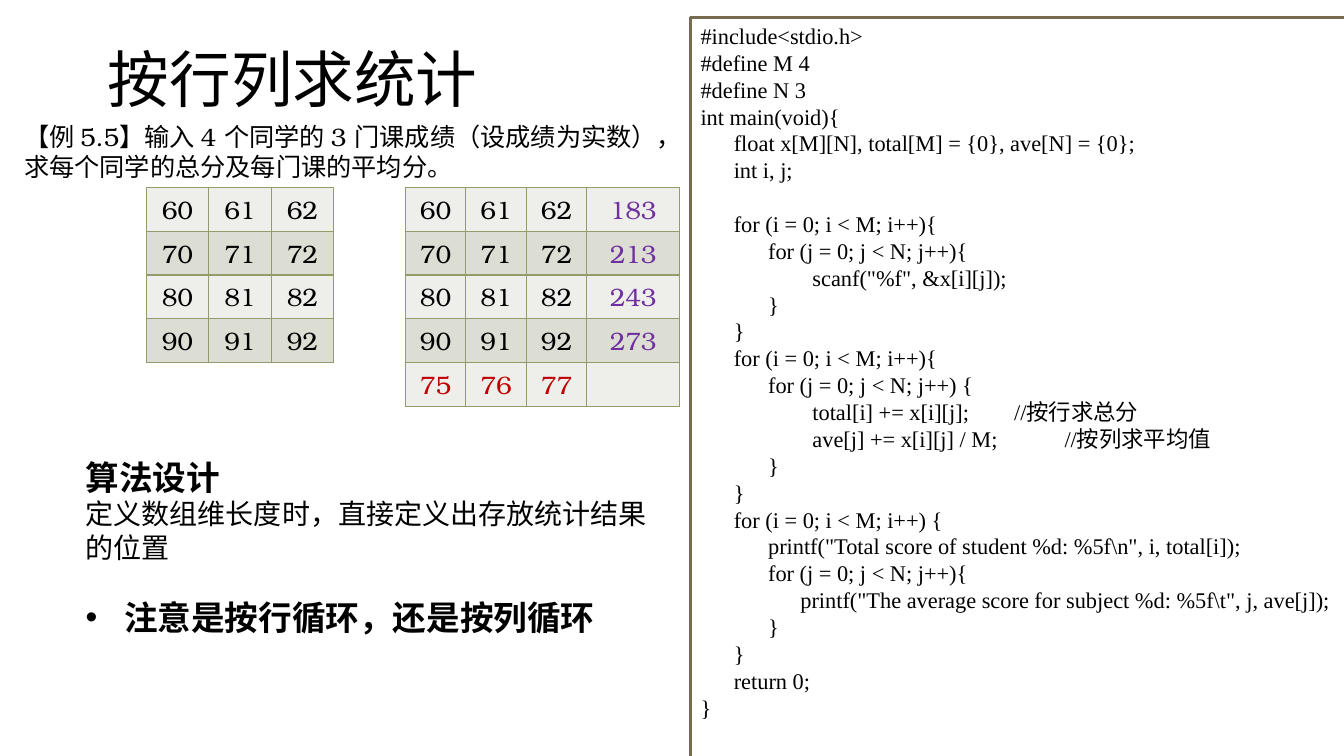
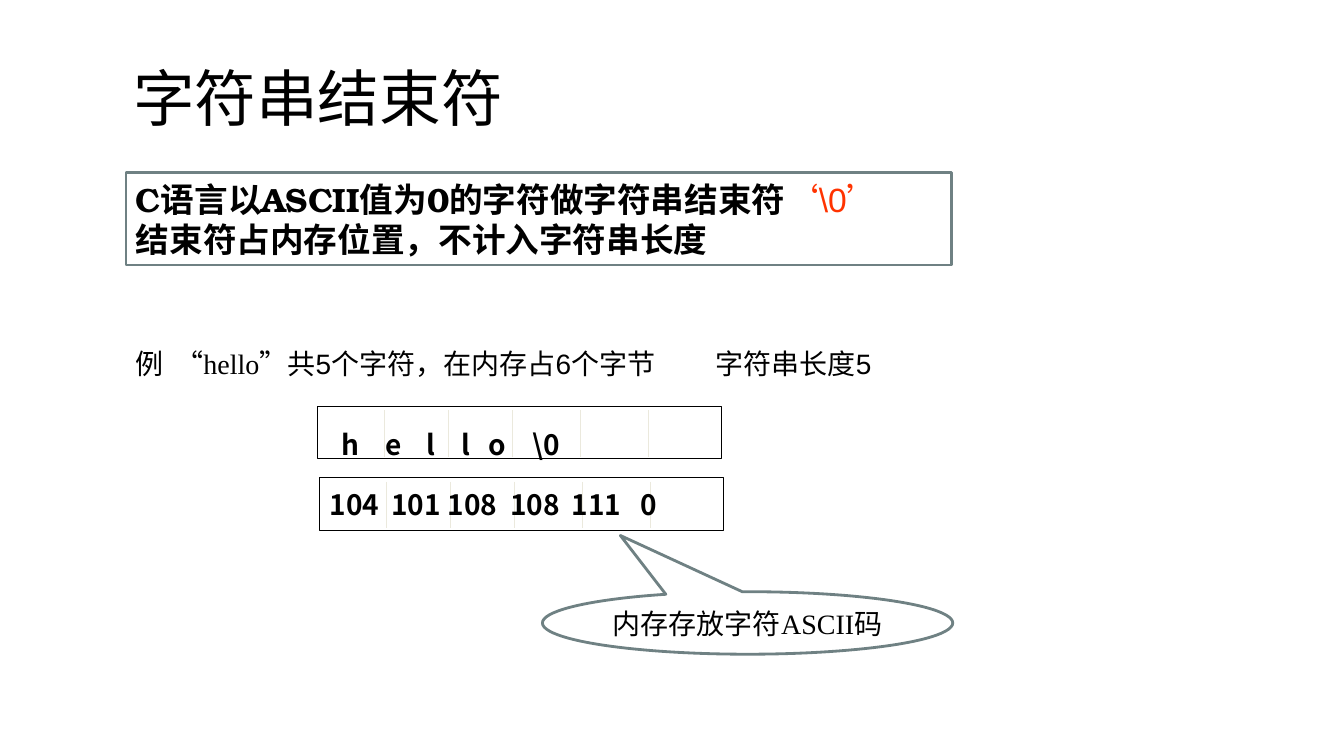
from dataclasses import dataclass

from lxml import etree
from pptx import Presentation
from pptx.dml.color import RGBColor
from pptx.enum.shapes import MSO_CONNECTOR, MSO_SHAPE
from pptx.enum.text import MSO_ANCHOR, MSO_AUTO_SIZE, PP_ALIGN
from pptx.oxml.ns import qn
from pptx.util import Inches, Pt

RECT = MSO_SHAPE.RECTANGLE
CALLOUT = MSO_SHAPE.OVAL_CALLOUT
STRAIGHT = MSO_CONNECTOR.STRAIGHT
TOP, MIDDLE = MSO_ANCHOR.TOP, MSO_ANCHOR.MIDDLE
LEFT, CENTER = PP_ALIGN.LEFT, PP_ALIGN.CENTER


@dataclass(frozen=True)
class Theme:
    black: str = "000000"
    white: str = "FFFFFF"
    code_frame: str = "766A50"
    frame: str = "6F8183"
    divider: str = "EBE9DD"
    grid: str = "949C6B"
    bands: tuple = ("EEEFEB", "DCDED4")
    row_total: str = "7030A0"
    column_mean: str = "C00000"
    alert: str = "FF3300"
    title_font: str = "TeX Gyre Adventor"
    text_font: str = "TeX Gyre Bonum"
    code_font: str = "Times New Roman"
    plain_font: str = "Arial"
    cjk_font: str = "Noto Sans CJK SC"
    title: float = 44
    heading: float = 24
    body: float = 20
    small: float = 18
    code: float = 16


THEME = Theme()


@dataclass(frozen=True)
class Box:
    left: float
    top: float
    width: float
    height: float

    def lengths(self) -> tuple:
        return tuple(Inches(v) for v in (self.left, self.top, self.width, self.height))


@dataclass(frozen=True)
class Run:
    text: str
    size: float = THEME.body
    font: str = THEME.text_font
    bold: bool = False
    color: str = THEME.black


@dataclass(frozen=True)
class Para:
    runs: tuple
    align: PP_ALIGN = LEFT
    pitch: float = 1.19
    before: float = 0
    indent: float = 0
    bullet: bool = False


@dataclass(frozen=True)
class CodeLine:
    text: str
    indent: float = 0
    before: float = 0


@dataclass(frozen=True)
class MemoryRow:
    left: float
    top: float
    text_top: float
    values: tuple
    starts: tuple


ONE, TWO, THREE = 0.33, 0.67, 1.11
CODE = (
    CodeLine("#include<stdio.h>"),
    CodeLine("#define M 4"),
    CodeLine("#define N 3"),
    CodeLine("int main(void){"),
    CodeLine("float x[M][N], total[M] = {0}, ave[N] = {0};", ONE),
    CodeLine("int i, j;", ONE),
    CodeLine("for (i = 0; i < M; i++){", ONE, before=19.2),
    CodeLine("for (j = 0; j < N; j++){", TWO),
    CodeLine('scanf("%f", &x[i][j]);', THREE),
    CodeLine("}", TWO),
    CodeLine("}", ONE),
    CodeLine("for (i = 0; i < M; i++){", ONE),
    CodeLine("for (j = 0; j < N; j++) {", TWO),
    CodeLine("total[i] += x[i][j];\t//按行求总分", THREE),
    CodeLine("ave[j] += x[i][j] / M;\t\t//按列求平均值", THREE),
    CodeLine("}", TWO),
    CodeLine("}", ONE),
    CodeLine("for (i = 0; i < M; i++) {", ONE),
    CodeLine(r'printf("Total score of student %d: %5f\n", i, total[i]);', TWO),
    CodeLine("for (j = 0; j < N; j++){", TWO),
    CodeLine(r'printf("The average score for subject %d: %5f\t", j, ave[j]);', 0.99),
    CodeLine("}", TWO),
    CodeLine("}", ONE),
    CodeLine("return 0;", ONE),
    CodeLine("}"),
)
SCORES = [[tens + n for n in range(3)] for tens in (60, 70, 80, 90)]
MEMORY_ROWS = (
    MemoryRow(3.15, 4.03, 0.21, ("h", "e", "l", "l", "o", r"\0"),
              (0.14, 0.57, 0.98, 1.33, 1.6, 2.03)),
    MemoryRow(3.17, 4.74, 0.1, ("104", "101", "108", "108", "111", "0"),
              (0, 0.61, 1.17, 1.79, 2.4, 3.08)),
)
DIVIDERS = (0.66, 1.3, 1.93, 2.61, 3.28)


def rgb(color: str) -> RGBColor:
    return RGBColor.from_string(color)


def style_run(r, run: Run) -> None:
    r.font.size = Pt(run.size)
    r.font.bold = run.bold
    r.font.color.rgb = rgb(run.color)
    r.font.name = run.font
    if not run.text.isascii():
        etree.SubElement(r.font._element, qn("a:ea"), typeface=THEME.cjk_font)


def write(tf, paras: list, anchor: MSO_ANCHOR = TOP) -> None:
    """Fill a text frame with styled paragraphs on a fixed line pitch."""
    tf.word_wrap = True
    tf.auto_size = MSO_AUTO_SIZE.NONE
    tf.vertical_anchor = anchor
    for i, para in enumerate(paras):
        p = tf.add_paragraph() if i else tf.paragraphs[0]
        p.alignment = para.align
        p.line_spacing = Pt(round(para.pitch * para.runs[0].size, 1))
        p.space_before = Pt(para.before)
        for run in para.runs:
            r = p.add_run()
            r.text = run.text
            style_run(r, run)
        set_indent(p, para)


def set_indent(p, para: Para) -> None:
    """Set the left margin, and the bullet with its hanging indent."""
    pPr = p._p.get_or_add_pPr()
    margin = Inches(para.indent)
    pPr.set("marL", str(margin))
    pPr.set("indent", str(-margin if para.bullet else 0))
    if para.bullet:
        etree.SubElement(pPr, qn("a:buChar"), char="•")
    else:
        etree.SubElement(pPr, qn("a:buNone"))


def place(sp, box: Box) -> None:
    sp.left, sp.top, sp.width, sp.height = box.lengths()


def add_slide(prs, layout: int, title: str, box: Box):
    slide = prs.slides.add_slide(prs.slide_layouts[layout])
    place(slide.shapes.title, box)
    run = Run(title, THEME.title, THEME.title_font)
    write(slide.shapes.title.text_frame, [Para((run,), pitch=1.06)])
    return slide


def add_frame(slide, kind: MSO_SHAPE, box: Box, color: str, weight: float,
              fill: str | None = None):
    sp = slide.shapes.add_shape(kind, *box.lengths())
    sp.shadow.inherit = False
    if fill:
        sp.fill.solid()
        sp.fill.fore_color.rgb = rgb(fill)
    else:
        sp.fill.background()
    sp.line.color.rgb = rgb(color)
    sp.line.width = Pt(weight)
    return sp


def add_text(slide, box: Box, *runs: Run):
    tf = slide.shapes.add_textbox(*box.lengths()).text_frame
    write(tf, [Para(runs)])
    return tf


def add_divider(slide, x: float, top: float, bottom: float) -> None:
    line = slide.shapes.add_connector(
        STRAIGHT, Inches(x), Inches(top), Inches(x), Inches(bottom))
    line.line.color.rgb = rgb(THEME.divider)
    line.line.width = Pt(0.75)
    etree.SubElement(line._element.spPr, qn("a:effectLst"))


def border_cell(cell) -> None:
    tcPr = cell._tc.get_or_add_tcPr()
    for side in ("lnL", "lnR", "lnT", "lnB"):
        ln = etree.SubElement(tcPr, qn(f"a:{side}"), w=str(Pt(1)))
        fill = etree.SubElement(ln, qn("a:solidFill"))
        etree.SubElement(fill, qn("a:srgbClr"), val=THEME.grid)


def add_scores(slide, left: float, widths: tuple, rows: list) -> None:
    """Draw a score grid; a fourth column holds totals, a fifth row means."""
    height = 0.41
    box = Box(left, 1.86, sum(widths), height * len(rows))
    table = slide.shapes.add_table(len(rows), len(widths), *box.lengths()).table
    table.first_row = table.horz_banding = False
    for column, width in zip(table.columns, widths):
        column.width = Inches(width)
    for i, values in enumerate(rows):
        table.rows[i].height = Inches(height)
        for j, value in enumerate(values):
            cell = table.cell(i, j)
            border_cell(cell)
            cell.fill.solid()
            cell.fill.fore_color.rgb = rgb(THEME.bands[i % 2])
            color = (THEME.column_mean if i == 4 else
                     THEME.row_total if j == 3 else THEME.black)
            p = cell.text_frame.paragraphs[0]
            p.text = str(value)
            p.alignment = CENTER
            for r in p.runs:
                style_run(r, Run(r.text, THEME.small, color=color))


def code_para(line: CodeLine) -> Para:
    run = Run(line.text, THEME.code, THEME.code_font)
    return Para((run,), pitch=1.2, before=line.before, indent=line.indent)


def add_memory_row(slide, row: MemoryRow) -> None:
    add_frame(slide, RECT, Box(row.left, row.top, 4.01, 0.52), THEME.black, 0.75)
    for offset in DIVIDERS:
        add_divider(slide, row.left + offset, row.top + 0.04, row.top + 0.5)
    for value, start in zip(row.values, row.starts):
        box = Box(row.left + 0.1 + start, row.top + row.text_top, 0.6, 0.33)
        tf = add_text(slide, box, Run(value, font=THEME.cjk_font, bold=True))
        tf.margin_left = tf.margin_right = tf.margin_top = tf.margin_bottom = 0


def build_statistics(prs) -> None:
    slide = add_slide(prs, 1, "按行列求统计", Box(0.97, 0.44, 5.8, 0.93))
    code = add_frame(slide, RECT, Box(6.85, 0.17, 6.5, 7.64), THEME.code_frame, 2)
    write(code.text_frame, [code_para(line) for line in CODE])

    body = slide.placeholders[1]
    place(body, Box(0.75, 4.47, 5.83, 1.92))
    write(body.text_frame, [
        Para((Run("算法设计", THEME.heading, bold=True),)),
        Para((Run("定义数组维长度时，直接定义出存放统计结果的位置"),)),
        Para((Run("注意是按行循环，还是按列循环", THEME.heading, bold=True),),
             before=24, indent=0.38, bullet=True),
    ], MIDDLE)

    add_scores(slide, 1.45, (0.62,) * 3, SCORES)
    means = [sum(column) // len(column) for column in zip(*SCORES)]
    summary = [row + [sum(row)] for row in SCORES] + [means + [""]]
    add_scores(slide, 4.02, (0.6,) * 3 + (0.92,), summary)
    task = "【例 5.5】输入 4 个同学的 3 门课成绩（设成绩为实数），求每个同学的总分及每门课的平均分。"
    add_text(slide, Box(0.14, 1.16, 6.67, 0.71), Run(task, THEME.small))


def build_terminator(prs) -> None:
    slide = add_slide(prs, 5, "字符串结束符", Box(1.22, 0.63, 9.11, 0.92))
    rule = add_frame(slide, RECT, Box(1.25, 1.71, 8.19, 0.92), THEME.frame, 2, THEME.white)
    size = THEME.heading
    write(rule.text_frame, [
        Para((Run("C语言以ASCII值为0的字符做字符串结束符", size, bold=True),
              Run(r"‘\0’", size, THEME.plain_font, color=THEME.alert))),
        Para((Run("结束符占内存位置，不计入字符串长度", size, bold=True),)),
    ], MIDDLE)

    plain = THEME.plain_font
    add_text(slide, Box(1.25, 3.39, 0.5, 0.45), Run("例", font=plain))
    add_text(slide, Box(1.64, 3.39, 5.5, 0.45),
             Run("“hello”", font=THEME.code_font),
             Run("共5个字符，在内存占6个字节", font=plain))
    add_text(slide, Box(7, 3.39, 2.4, 0.45), Run("字符串长度5", font=plain))
    for row in MEMORY_ROWS:
        add_memory_row(slide, row)

    note = add_frame(slide, CALLOUT, Box(5.38, 5.87, 4.07, 0.62), THEME.frame, 2, THEME.white)
    note.adjustments[0], note.adjustments[1] = -0.31, -1.4
    run = Run("内存存放字符ASCII码", font=THEME.code_font)
    write(note.text_frame, [Para((run,), CENTER)], MIDDLE)


def main() -> None:
    prs = Presentation()
    prs.slide_width, prs.slide_height = Inches(13.33), Inches(7.5)
    build_statistics(prs)
    build_terminator(prs)
    prs.save("out.pptx")


if __name__ == "__main__":
    main()
